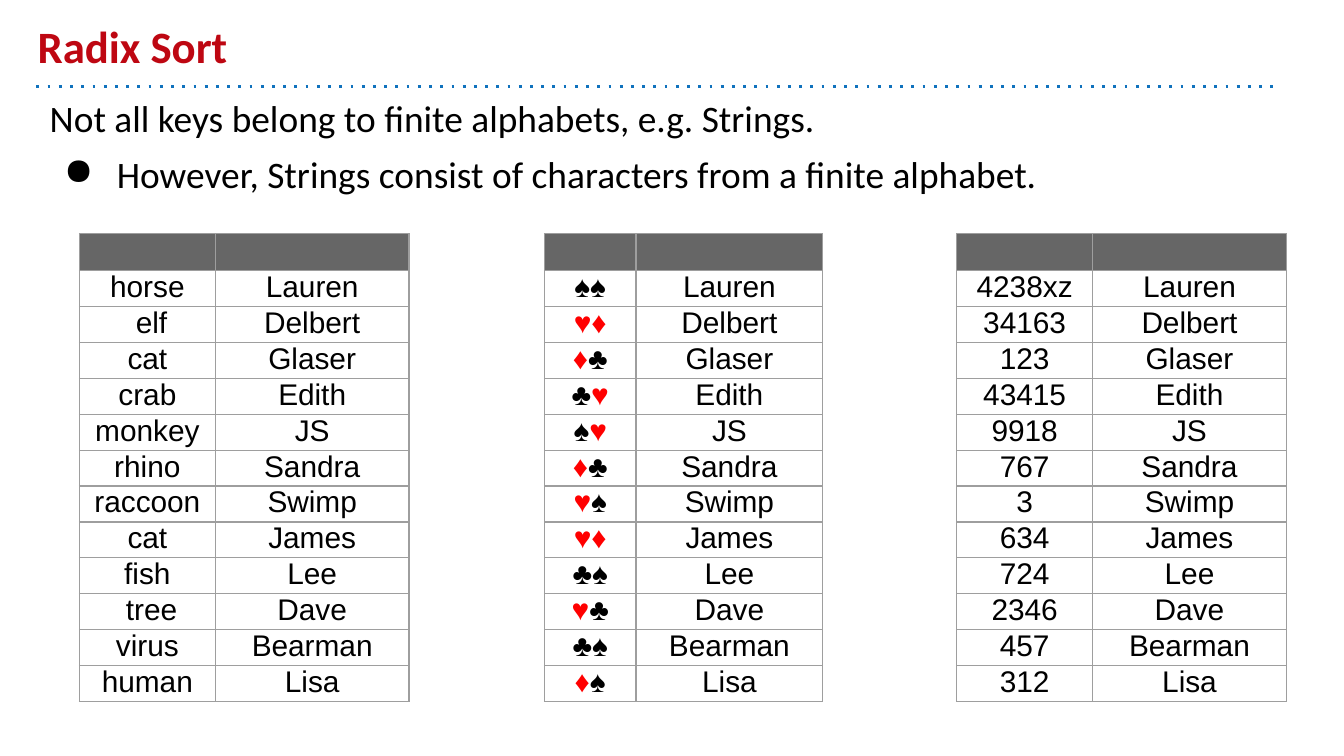
from itertools import groupby

from lxml.etree import SubElement
from pptx import Presentation
from pptx.dml.color import RGBColor
from pptx.enum.shapes import MSO_CONNECTOR as Connector
from pptx.enum.text import MSO_ANCHOR as Anchor, MSO_AUTO_SIZE as AutoSize, PP_ALIGN as Align
from pptx.oxml.ns import qn
from pptx.util import Cm, Pt

TITLE = "Radix Sort"
BODY = [
    "Not all keys belong to finite alphabets, e.g. Strings.",
    "However, Strings consist of characters from a finite alphabet.",
]
NAMES = ["Lauren", "Delbert", "Glaser", "Edith", "JS", "Sandra",
         "Swimp", "James", "Lee", "Dave", "Bearman", "Lisa"]
SPADE, HEART, DIAMOND, CLUB = "♠", "♥️", "♦️", "♣️"
RED_SUITS = (HEART, DIAMOND)
WORDS = ["horse", " elf", "cat", "crab", "monkey", "rhino",
         "raccoon", "cat", "fish", " tree", "virus", "human"]
CARDS = [(SPADE, SPADE), (HEART, DIAMOND), (DIAMOND, CLUB), (CLUB, HEART),
         (SPADE, HEART), (DIAMOND, CLUB), (HEART, SPADE), (HEART, DIAMOND),
         (CLUB, SPADE), (HEART, CLUB), (CLUB, SPADE), (DIAMOND, SPADE)]
CODES = ["4238xz", "34163", "123", "43415", "9918", "767",
         "3", "634", "724", "2346", "457", "312"]
TABLES = [
    {"keys": CARDS, "left": 10.29, "columns": (1.73, 3.53), "row": 0.64},
    {"keys": [(word,) for word in WORDS], "left": 1.5, "columns": (2.57, 3.66), "row": 0.64},
    {"keys": [(code,) for code in CODES], "left": 18.08, "columns": (2.57, 3.66), "row": 0.67},
]
TABLE_TOP, HEADER_HEIGHT = 4.42, 0.7
BLACK, RED, WHITE, GREY, BORDER = "000000", "FF0000", "FFFFFF", "666666", "9E9E9E"


def color(value):
    """Return the colour for a hex string."""
    return RGBColor.from_string(value)


def set_font(font, name, size, value, bold=False):
    """Set the face, size, colour and weight of a font."""
    font.name, font.size, font.bold = name, Pt(size), bold
    font.color.rgb = color(value)


def add_title(slide):
    """Fill and place the title placeholder."""
    title = slide.shapes.title
    title.left, title.top, title.width, title.height = Cm(0.46), Cm(0.25), Cm(22.86), Cm(1.37)
    frame = title.text_frame
    frame.text = TITLE
    frame.auto_size, frame.vertical_anchor = AutoSize.NONE, Anchor.BOTTOM
    frame.margin_left = frame.margin_right = frame.margin_top = frame.margin_bottom = Cm(0.25)
    paragraph = frame.paragraphs[0]
    paragraph.alignment = Align.LEFT
    set_font(paragraph.font, "Calibri", 24, "BE0712", True)


def add_rule(slide):
    """Draw the dotted line below the title."""
    rule = slide.shapes.add_connector(Connector.STRAIGHT, Cm(0.69), Cm(1.63), Cm(24.13), Cm(1.63))
    rule.line.color.rgb = color("1072BD")
    rule.line.width = Pt(1.5)
    properties = rule._element.spPr
    SubElement(properties.find(qn("a:ln")), qn("a:prstDash"), val="dot")
    SubElement(properties, qn("a:effectLst"))


def add_body(slide):
    """Write the statement and its bullet."""
    frame = slide.shapes.add_textbox(Cm(0.69), Cm(1.55), Cm(23.44), Cm(11.53)).text_frame
    frame.word_wrap = True
    frame.margin_left = frame.margin_right = frame.margin_top = frame.margin_bottom = Cm(0.25)
    frame.text = "\n".join(BODY)
    for paragraph in frame.paragraphs:
        paragraph.space_before = Pt(6)
        set_font(paragraph.font, "Calibri", 20, BLACK)
    properties = frame.paragraphs[1]._p.get_or_add_pPr()
    properties.set("marL", str(Cm(1.27)))
    properties.set("indent", str(Cm(-1)))
    bullet = SubElement(properties, qn("a:buChar"), char="●")
    properties.find(qn("a:defRPr")).addprevious(bullet)


def style_cell(cell, fill):
    """Set the borders, fill, margins and font of a cell."""
    properties = cell._tc.get_or_add_tcPr()
    for side in "LRTB":
        line = SubElement(properties, qn(f"a:ln{side}"), w=str(Pt(0.75)))
        SubElement(SubElement(line, qn("a:solidFill")), qn("a:srgbClr"), val=BORDER)
    cell.fill.solid()
    cell.fill.fore_color.rgb = color(fill)
    cell.margin_left = cell.margin_right = Cm(0.25)
    cell.margin_top = cell.margin_bottom = 0
    paragraph = cell.text_frame.paragraphs[0]
    paragraph.alignment = Align.CENTER
    set_font(paragraph.font, "Arial", 16, BLACK)


def write_key(paragraph, symbols):
    """Write a key, with the red suits in red."""
    for is_red, group in groupby(symbols, lambda symbol: symbol in RED_SUITS):
        run = paragraph.add_run()
        run.text = "".join(group)
        run.font.color.rgb = color(RED if is_red else BLACK)


def add_key_table(slide, keys, left, columns, row):
    """Add a table that pairs keys with names."""
    heights = [HEADER_HEIGHT] + [row] * len(keys)
    table = slide.shapes.add_table(len(heights), len(columns), Cm(left), Cm(TABLE_TOP),
                                   Cm(sum(columns)), Cm(sum(heights))).table
    table.first_row = table.horz_banding = False
    for column, width in zip(table.columns, columns):
        column.width = Cm(width)
    for index, height in enumerate(heights):
        table.rows[index].height = Cm(height)
        for cell in table.rows[index].cells:
            style_cell(cell, WHITE if index else GREY)
    for index, (key, name) in enumerate(zip(keys, NAMES), start=1):
        write_key(table.cell(index, 0).text_frame.paragraphs[0], key)
        table.cell(index, 1).text_frame.paragraphs[0].add_run().text = name


def main():
    """Build and save the slide."""
    presentation = Presentation()
    presentation.slide_width, presentation.slide_height = Cm(25.4), Cm(14.29)
    slide = presentation.slides.add_slide(presentation.slide_layouts[5])
    add_rule(slide)
    add_title(slide)
    add_body(slide)
    for table in TABLES:
        add_key_table(slide, **table)
    presentation.save("out.pptx")


if __name__ == "__main__":
    main()
